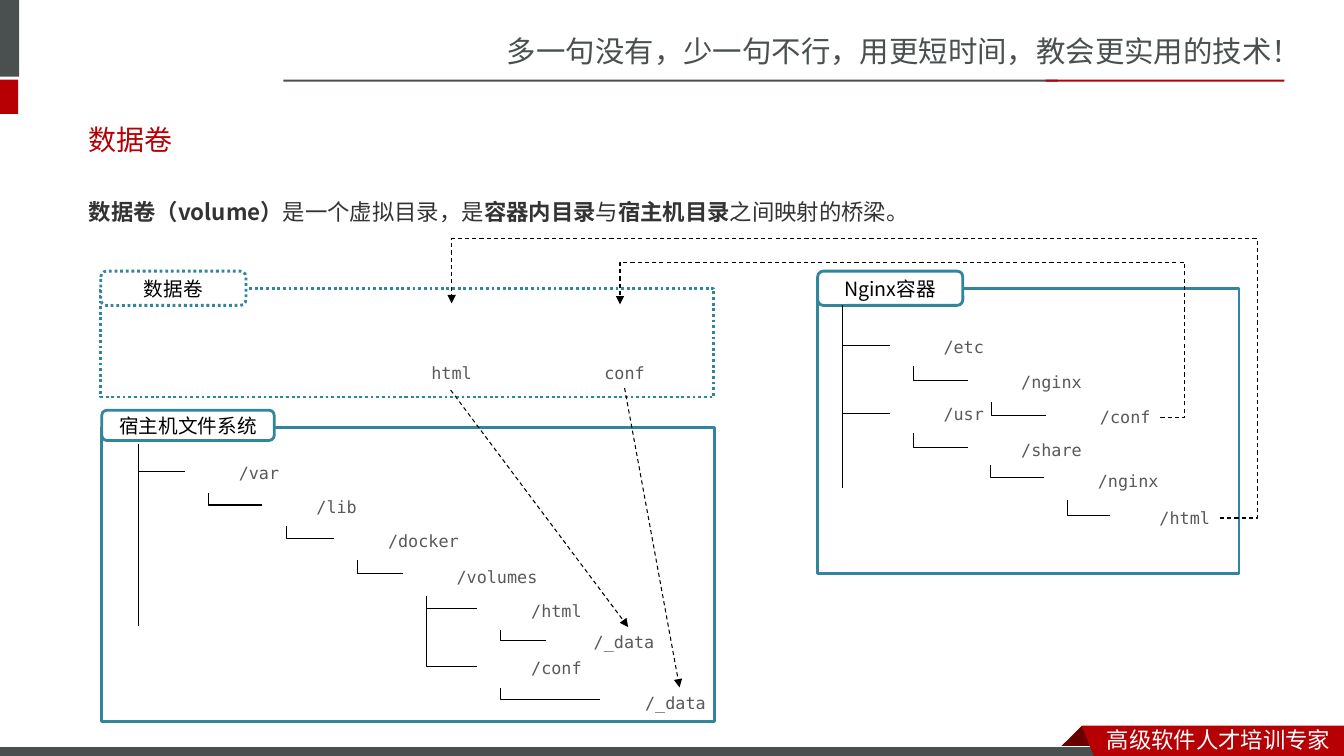
from lxml.etree import SubElement
from pptx import Presentation
from pptx.dml.color import RGBColor
from pptx.enum.dml import MSO_LINE
from pptx.enum.shapes import MSO_CONNECTOR, MSO_SHAPE
from pptx.enum.text import MSO_ANCHOR, MSO_AUTO_SIZE, PP_ALIGN
from pptx.oxml.ns import qn
from pptx.util import Pt

PX = 9144  # 100 px to the inch
COLORS = {"gray": "49504F", "red": "B60004", "maroon": "680000", "teal": "31859C",
          "white": "FFFFFF", "black": "000000", "body": "333333", "label": "595959"}
SANS, SANS_SC, MONO = "Noto Sans CJK JP", "Noto Sans CJK SC", "DejaVu Sans Mono"
LABEL_WIDTH, LABEL_HEIGHT, BRANCH_LENGTH = 118, 30, 47


def color(name):
    return RGBColor.from_string(COLORS[name])


def scaled(*lengths):
    return [length * PX for length in lengths]


def format_span(span, size, face, ink, bold=False):
    """Set the look of a run, using the face for East Asian text as well."""
    span.font.size = Pt(size)
    span.font.name = face
    span.font.bold = bold
    span.font.color.rgb = color(ink)
    SubElement(span.font._element, qn("a:ea"), typeface=face)


def write(frame, text, size, face, ink, align=PP_ALIGN.LEFT):
    frame.word_wrap = True
    frame.text = text
    para = frame.paragraphs[0]
    para.alignment = align
    format_span(para.runs[0], size, face, ink)


def add_text(page, box, *style, **options):
    shape = page.shapes.add_textbox(*scaled(*box))
    write(shape.text_frame, *style, **options)
    return shape


def add_block(page, kind, box, fill):
    shape = page.shapes.add_shape(kind, *scaled(*box))
    shape.shadow.inherit = False
    shape.fill.solid()
    shape.fill.fore_color.rgb = color(fill)
    shape.line.fill.background()
    return shape


def add_polygon(page, points, fill):
    builder = page.shapes.build_freeform(*points[0], scale=PX)
    builder.add_line_segments(points[1:], close=True)
    shape = builder.convert_to_shape()
    shape.shadow.inherit = False
    shape.fill.solid()
    shape.fill.fore_color.rgb = color(fill)
    shape.line.fill.background()


def add_line(page, start, end, kind=MSO_CONNECTOR.STRAIGHT):
    line = page.shapes.add_connector(kind, *scaled(*start, *end))
    line.line.color.rgb = color("black")
    line.line.width = Pt(0.75)
    SubElement(line._element.spPr, qn("a:effectLst"))
    return line


def add_corner(page, left, top, width, height):
    """Draw an L that runs down the left side and along the bottom of the box."""
    corner = add_line(page, (left, top), (left + width, top + height), MSO_CONNECTOR.ELBOW)
    properties = corner._element.spPr
    properties.find(qn("a:prstGeom")).set("prst", "bentConnector2")
    properties.find(qn("a:xfrm")).set("rot", "10800000")


def make_dashed_arrow(line):
    line.line.dash_style = MSO_LINE.DASH
    SubElement(line.line._get_or_add_ln(), qn("a:tailEnd"), type="triangle")


def add_mapping(page, label, end, turn):
    """Lead from a label's right side out and over the turning point, down to the end."""
    start = ((label.left + label.width) / PX, (label.top + label.height / 2) / PX)
    line = add_line(page, [round(value) for value in start], end, MSO_CONNECTOR.ELBOW)
    geometry = line._element.spPr.find(qn("a:prstGeom"))
    geometry.set("prst", "bentConnector4")
    guides = geometry.find(qn("a:avLst"))
    if guides is None:
        guides = SubElement(geometry, qn("a:avLst"))
    for axis in range(2):
        ratio = (start[axis] - turn[axis]) / (start[axis] - end[axis])
        SubElement(guides, qn("a:gd"), name=f"adj{axis + 1}", fmla=f"val {round(ratio * 100000)}")
    make_dashed_arrow(line)
    line.begin_connect(label, 3)


def add_panel(page, box, tab_size, name, dash=MSO_LINE.SOLID):
    left, top, width, height = box
    frame = add_block(page, MSO_SHAPE.RECTANGLE, box, "white")
    tab = add_block(page, MSO_SHAPE.ROUNDED_RECTANGLE, (left, top - 17, *tab_size), "white")
    for shape in (frame, tab):
        shape.line.color.rgb = color("teal")
        shape.line.width = Pt(2)
        shape.line.dash_style = dash
    tab.text_frame.vertical_anchor = MSO_ANCHOR.MIDDLE
    write(tab.text_frame, name, 14, SANS, "black", PP_ALIGN.CENTER)


def add_labels(page, box, labels):
    """Each label is text, x, y within the box, then optionally width and alignment."""
    shapes = []
    for text, x, y, *rest in labels:
        width, align = (rest + [LABEL_WIDTH, PP_ALIGN.LEFT][len(rest):])
        place = (box[0] + x, box[1] + y, width, LABEL_HEIGHT)
        shapes.append(add_text(page, place, text, 12, MONO, "label", align=align))
    return shapes


def add_tree(page, box, trunk, branches, corners, labels):
    left, top = box[:2]
    x, start, end = trunk
    add_line(page, (left + x, top + start), (left + x, top + end))
    for y in branches:
        add_line(page, (left + x, top + y), (left + x + BRANCH_LENGTH, top + y))
    for corner_x, corner_y, width, height in corners:
        add_corner(page, left + corner_x, top + corner_y, width, height)
    return add_labels(page, box, labels)


def add_header(page):
    add_text(page, (493, 28, 841, 47), "多一句没有，少一句不行，用更短时间，教会更实用的技术！", 21, SANS_SC, "gray")
    for box, fill in (((-6, 0, 25, 76), "gray"), ((-6, 79, 24, 34), "red"),
                      ((281, 79, 768, 2), "gray"), ((1037, 79, 237, 2), "red")):
        add_block(page, MSO_SHAPE.RECTANGLE, box, fill)


def add_footer(page):
    add_polygon(page, [(1073, 720), (1095, 742), (1094, 743), (1052, 743), (1051, 742)], "maroon")
    bar = add_block(page, MSO_SHAPE.RECTANGLE, (-1, 741, 1100, 12), "gray")
    bar.line.color.rgb = color("white")
    bar.line.width = Pt(0.75)
    add_polygon(page, [(1073, 720), (1333, 720), (1333, 754), (1086, 753)], "red")
    add_text(page, (1088, 715, 245, 37), "高级软件人才培训专家", 16, SANS_SC, "white")


def fill_placeholders(page):
    title, body = page.shapes.title, page.placeholders[1]
    for holder, box in ((title, (78, 108, 653, 61)), (body, (78, 178, 1170, 78))):
        holder.left, holder.top, holder.width, holder.height = scaled(*box)
        holder.text_frame.auto_size = MSO_AUTO_SIZE.NONE
    write(title.text_frame, "数据卷", 20, "Lato", "red")
    title.text_frame.vertical_anchor = MSO_ANCHOR.MIDDLE
    body.text_frame.vertical_anchor = MSO_ANCHOR.TOP
    para = body.text_frame.paragraphs[0]
    para.line_spacing = 1.5
    para.space_before = Pt(0)
    properties = para._p.get_or_add_pPr()
    properties.set("marL", "0")
    properties.set("indent", "0")
    SubElement(properties, qn("a:buNone"))
    parts = ("数据卷（volume）", "是一个虚拟目录，是", "容器内目录", "与", "宿主机目录", "之间映射的桥梁。")
    for index, text in enumerate(parts):
        span = para.add_run()
        span.text = text
        format_span(span, 16, SANS, "body", bold=index % 2 == 0)


def add_container(page, box):
    add_panel(page, box, (144, 34), "Nginx容器")
    return add_tree(
        page, box, (25, 17, 198), (57, 124),
        [(95, 77, 54, 14), (172, 113, 54, 13), (95, 144, 54, 14), (171, 175, 53, 13), (248, 210, 42, 15)],
        [("/etc", 115, 43), ("/nginx", 192, 78), ("/conf", 247, 113, 93, PP_ALIGN.RIGHT),
         ("/usr", 115, 110), ("/share", 192, 145), ("/nginx", 268, 176),
         ("/html", 306, 213, 93, PP_ALIGN.RIGHT)])


def add_host(page, box):
    add_panel(page, box, (171, 30), "宿主机文件系统")
    return add_tree(
        page, box, (36, 16, 197), (44,),
        [(106, 65, 53, 12), (183, 98, 47, 12), (254, 132, 45, 13), (322, 167, 50, 13),
         (322, 167, 50, 70), (395, 201, 46, 10), (395, 259, 99, 11)],
        [("/var", 126, 30), ("/lib", 203, 64), ("/docker", 274, 98), ("/volumes", 342, 133),
         ("/html", 416, 167), ("/_data", 478, 198, 88), ("/conf", 416, 224), ("/_data", 529, 258, 88)])


def add_volumes(page, box):
    add_panel(page, box, (144, 34), "数据卷", MSO_LINE.ROUND_DOT)
    return add_labels(page, box, [("html", 318, 69, 72), ("conf", 479, 69, 81, PP_ALIGN.CENTER)])


def main():
    deck = Presentation()
    deck.slide_width, deck.slide_height = scaled(1333, 750)
    page = deck.slides.add_slide(deck.slide_layouts[1])
    add_header(page)
    add_footer(page)
    fill_placeholders(page)
    container = add_container(page, (811, 286, 418, 283))
    host = add_host(page, (101, 424, 608, 292))
    volumes = add_volumes(page, (100, 286, 608, 108))
    to_html = add_line(page, (447, 387), (623, 622))
    to_conf = add_line(page, (619, 385), (674, 682))
    to_conf.begin_connect(volumes[1], 2)
    for line, data in ((to_html, host[5]), (to_conf, host[7])):
        make_dashed_arrow(line)
        line.end_connect(data, 0)
    add_mapping(page, container[2], (615, 302), (1175, 260))
    add_mapping(page, container[6], (448, 301), (1247, 237))
    deck.save("out.pptx")


if __name__ == "__main__":
    main()
